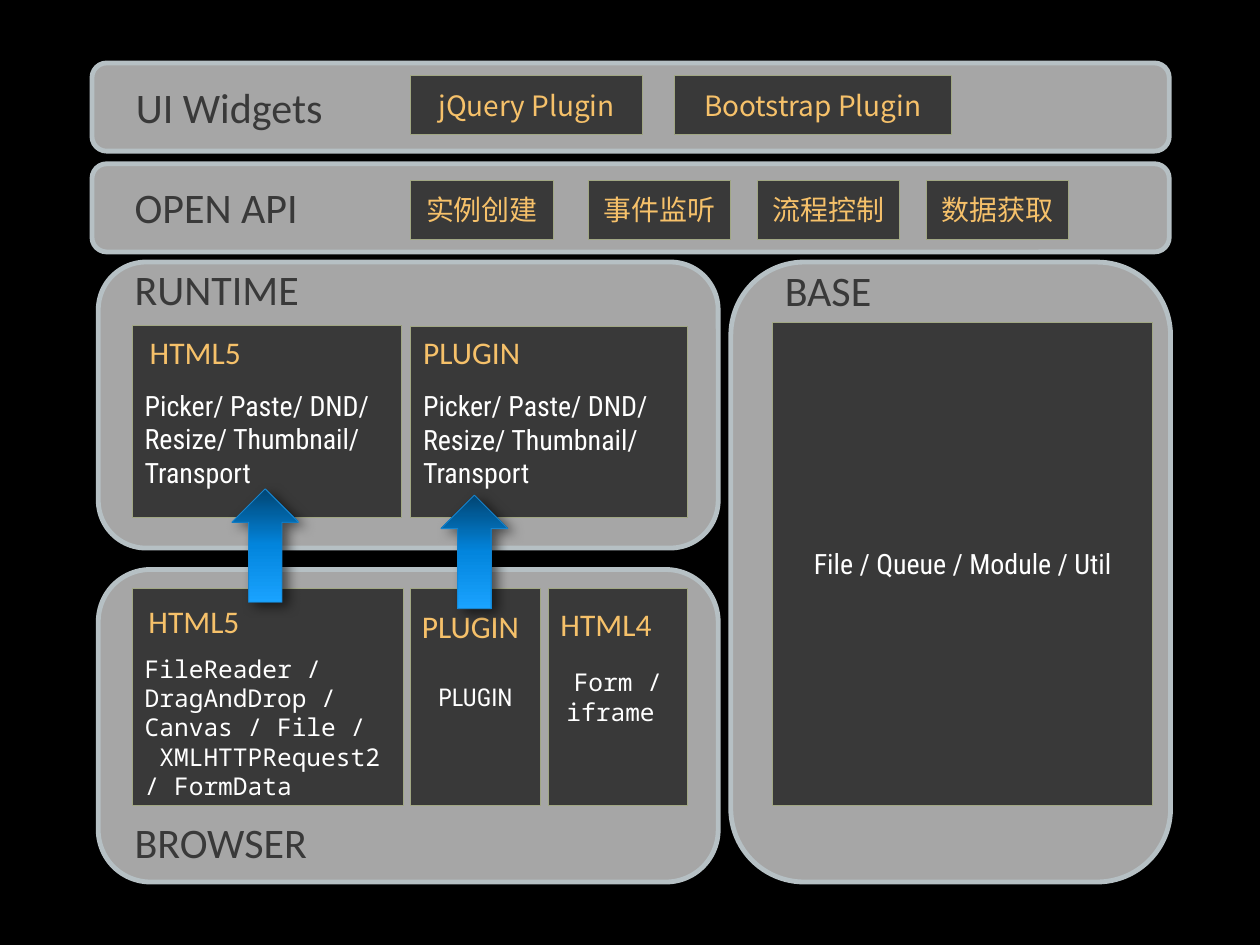
from lxml import etree
from pptx import Presentation
from pptx.dml.color import RGBColor
from pptx.enum.shapes import MSO_SHAPE
from pptx.enum.text import MSO_ANCHOR, PP_ALIGN
from pptx.oxml import parse_xml
from pptx.oxml.ns import qn
from pptx.util import Inches, Pt

BLACK = RGBColor(0x00, 0x00, 0x00)
GREY = RGBColor(0xA6, 0xA6, 0xA6)
RIM = RGBColor(0xB6, 0xC0, 0xC4)
DARK = RGBColor(0x39, 0x39, 0x39)
OLIVE = RGBColor(0xA1, 0xA7, 0x84)
GOLD = RGBColor(0xF6, 0xC1, 0x6A)
WHITE = RGBColor(0xFF, 0xFF, 0xFF)
BLUE = RGBColor(0x18, 0x84, 0xCD)
NS = 'xmlns:a="http://schemas.openxmlformats.org/drawingml/2006/main"'
SANS, MONO, CJK = "Roboto Condensed", "Noto Sans Mono", "Noto Sans CJK JP"

deck = Presentation()
deck.slide_width, deck.slide_height = Inches(10), Inches(7.5)
slide = deck.slides.add_slide(deck.slide_layouts[6])
slide.background.fill.solid()
slide.background.fill.fore_color.rgb = BLACK


def add_block(kind, place, fill, line, width):
    shape = slide.shapes.add_shape(kind, *[Inches(v) for v in place])
    shape.shadow.inherit = False
    shape.fill.solid()
    shape.fill.fore_color.rgb = fill
    shape.line.color.rgb = line
    shape.line.width = Pt(width)
    return shape


def set_text(shape, text, font, size, color, align=PP_ALIGN.LEFT):
    frame = shape.text_frame
    frame.word_wrap = True
    frame.text = text
    for para in frame.paragraphs:
        para.alignment = align
        for run in para.runs:
            run.font.name = font
            run.font.size = Pt(size)
            run.font.color.rgb = color
            if font == CJK:
                east = etree.SubElement(run.font._element, qn("a:ea"))
                east.set("typeface", font)


# Grey panels
for place in [
    (0.78, 4.52, 4.92, 2.48),
    (0.78, 2.08, 4.92, 2.27),
    (5.8, 2.08, 3.49, 4.92),
    (0.73, 1.3, 8.55, 0.7),
    (0.73, 0.5, 8.55, 0.7),
]:
    add_block(MSO_SHAPE.ROUNDED_RECTANGLE, place, GREY, RIM, 2.75)

# Dark boxes: place, text, font, size, colour, alignment, top inset
LEFT, MID = PP_ALIGN.LEFT, PP_ALIGN.CENTER
tasks = "Picker/ Paste/ DND/ Resize/ Thumbnail/ Transport"
parts = "FileReader / DragAndDrop / Canvas / File /\n XMLHTTPRequest2 / FormData"
boxes = [
    ((1.05, 4.67, 2.15, 1.72), parts, MONO, 14, WHITE, LEFT, 0.53),
    ((3.26, 4.67, 1.03, 1.72), "PLUGIN", SANS, 14, WHITE, MID, 0.05),
    ((4.35, 4.67, 1.11, 1.72), "Form / iframe ", MONO, 14, WHITE, MID, 0.05),
    ((1.05, 2.58, 2.14, 1.53), tasks, SANS, 16, WHITE, LEFT, 0.32),
    ((3.26, 2.59, 2.2, 1.52), tasks, SANS, 16, WHITE, LEFT, 0.32),
    ((6.13, 2.56, 3.02, 3.83), "File / Queue / Module / Util", SANS, 16, WHITE, MID, 0.05),
    ((3.26, 0.6, 1.84, 0.47), "jQuery Plugin", CJK, 16, GOLD, MID, 0.05),
    ((5.35, 0.6, 2.2, 0.47), "Bootstrap Plugin", CJK, 16, GOLD, MID, 0.05),
]
for left, name in [(3.26, "实例创建"), (4.67, "事件监听"), (6.01, "流程控制"), (7.35, "数据获取")]:
    boxes.append(((left, 1.43, 1.13, 0.47), name, CJK, 16, GOLD, MID, 0.05))

for place, text, font, size, color, align, inset in boxes:
    box = add_block(MSO_SHAPE.RECTANGLE, place, DARK, OLIVE, 0.5)
    set_text(box, text, font, size, color, align)
    box.text_frame.vertical_anchor = MSO_ANCHOR.MIDDLE
    box.text_frame.margin_top = Inches(inset)

# Panel titles and box headings
for left, top, wide, text, size, color in [
    (0.98, 0.6, 2.12, "UI Widgets", 24, DARK),
    (0.97, 1.39, 1.93, "OPEN API", 24, DARK),
    (0.97, 2.04, 1.93, "RUNTIME", 24, DARK),
    (6.13, 2.05, 1.78, "BASE", 24, DARK),
    (0.97, 6.43, 2.05, "BROWSER", 24, DARK),
    (1.09, 2.59, 1.16, "HTML5", 18, GOLD),
    (3.26, 2.59, 1.1, "PLUGIN", 18, GOLD),
    (1.08, 4.73, 1.16, "HTML5", 18, GOLD),
    (3.25, 4.77, 1.1, "PLUGIN", 18, GOLD),
    (4.35, 4.75, 1.17, "HTML4", 18, GOLD),
]:
    high = 0.5 if size == 24 else 0.4
    label = slide.shapes.add_textbox(Inches(left), Inches(top), Inches(wide), Inches(high))
    set_text(label, text, "Calibri", size, color)

# Arrows from browser to runtime, with gradient and soft shadow
stops = "".join(
    f'<a:gs pos="{pos * 1000}"><a:srgbClr val="{tone}"/></a:gs>'
    for pos, tone in [(0, "014573"), (50, "0285DD"), (100, "1AA3FF")]
)
for left, top in [(1.84, 3.88), (3.5, 3.93)]:
    arrow = add_block(MSO_SHAPE.DOWN_ARROW, (left, top, 0.53, 0.9), BLUE, BLUE, 0.5)
    arrow.rotation = 180
    props = arrow._element.spPr
    grad = parse_xml(
        f'<a:gradFill {NS} rotWithShape="1"><a:gsLst>{stops}</a:gsLst>'
        '<a:lin ang="16200000" scaled="0"/></a:gradFill>'
    )
    props.replace(props.find(qn("a:solidFill")), grad)
    glow = parse_xml(
        f'<a:effectLst {NS}><a:outerShdw blurRad="{Pt(7)}" dist="{Pt(4)}" '
        f'dir="{35 * 60000}" rotWithShape="0"><a:srgbClr val="000000">'
        '<a:alpha val="55000"/></a:srgbClr></a:outerShdw></a:effectLst>'
    )
    props.replace(props.find(qn("a:effectLst")), glow)

deck.save("out.pptx")
